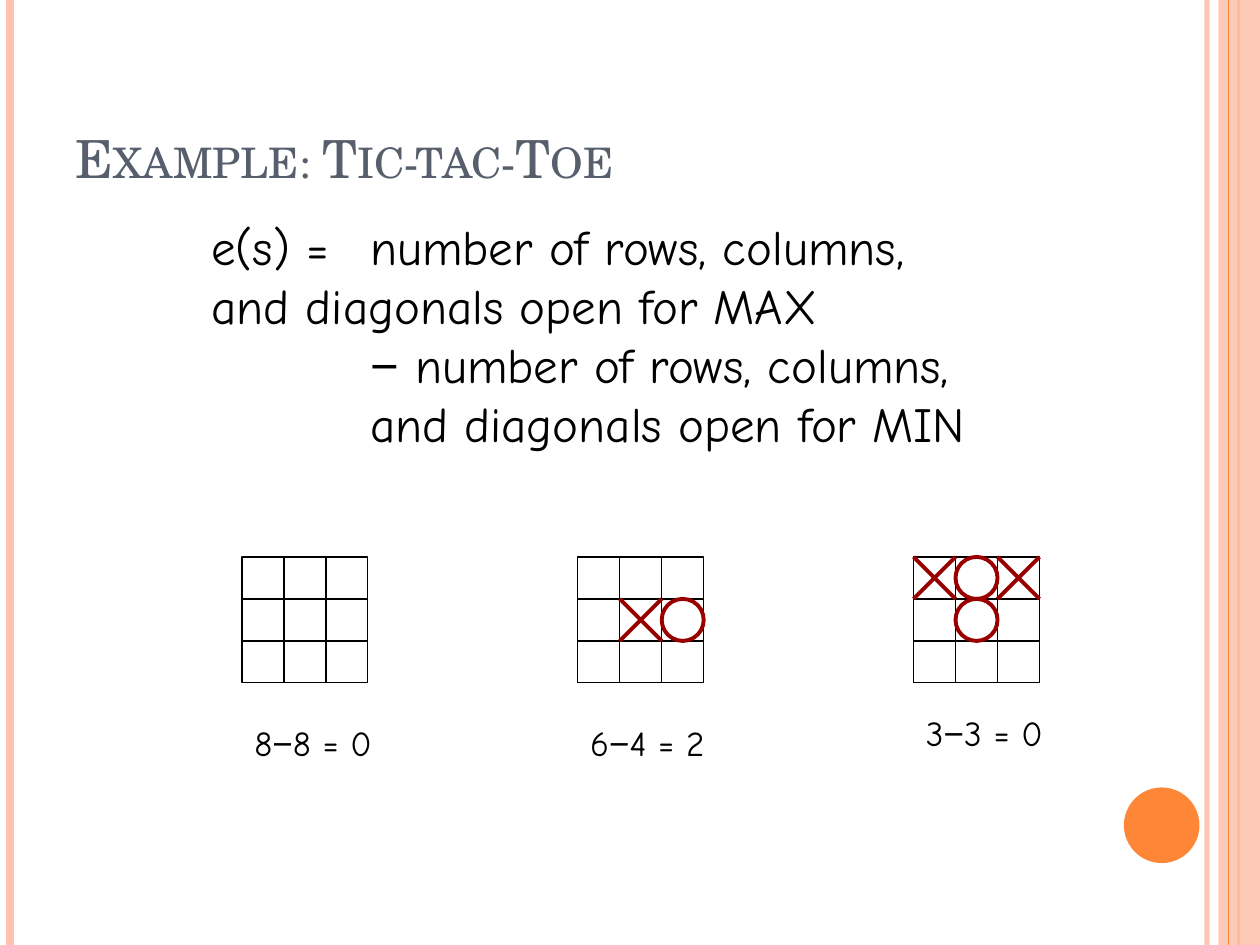
from lxml.etree import SubElement
from pptx import Presentation
from pptx.dml.color import RGBColor
from pptx.enum.shapes import MSO_CONNECTOR, MSO_SHAPE
from pptx.enum.text import MSO_ANCHOR
from pptx.oxml import parse_xml
from pptx.oxml.ns import qn
from pptx.util import Inches, Pt

COLORS = {"peach": "FEC3AE", "orange": "FE8637", "title": "575F6D",
          "ink": "000000", "mark": "990000"}
TITLE_FONT, BODY_FONT, MINUS_FONT = "TeX Gyre Schola", "Comic Neue", "Arial"

TITLE = "Example: Tic-tac-Toe"
# Each paragraph: its left margin and its lines
TERM_INDENT = 1.26
FORMULA = [
    (0, ["e(s) =\tnumber of rows, columns,", "and diagonals open for MAX"]),
    (TERM_INDENT, ["− number of rows, columns,", "and diagonals open for MIN"]),
]
# Each board: its rows, its score and the top of the score
BOARDS = [
    (["   ", "   ", "   "], "8−8 = 0", 5.68),
    (["   ", " XO", "   "], "6−4 = 2", 5.68),
    (["XOX", " O ", "   "], "3−3 = 0", 5.6),
]
BOARD_LEFT, BOARD_TOP, BOARD_PITCH = 1.92, 4.42, 2.665
BOARD_SIZE = 1
CELL = BOARD_SIZE / 3

# Vertical rules: x, colour, width, opacity in percent
RULES_BELOW_BAND = [(9.58, "peach", 3, 93), (0.08, "peach", 4.5, 100),
                    (9.83, "orange", 1.5, 100)]
RULES_ABOVE_BAND = [(9.75, "orange", 0.75, 100)]


def rgb(name):
    return RGBColor.from_string(COLORS[name])


def set_opacity(fill_parent, percent):
    color = fill_parent.find(".//" + qn("a:srgbClr"))
    SubElement(color, qn("a:alpha"), val=str(percent * 1000))


def add_line(x1, y1, x2, y2, color, width, opacity=100):
    line = slide.shapes.add_connector(
        MSO_CONNECTOR.STRAIGHT, Inches(x1), Inches(y1), Inches(x2), Inches(y2))
    line.line.color.rgb = rgb(color)
    line.line.width = Pt(width)
    properties = line._element.spPr
    if opacity < 100:
        set_opacity(properties, opacity)
    SubElement(properties, qn("a:effectLst"))


def add_shape(kind, x, y, w, h, fill=None, outline=None, width=0.75):
    shape = slide.shapes.add_shape(kind, Inches(x), Inches(y), Inches(w), Inches(h))
    shape.shadow.inherit = False
    if fill:
        shape.fill.solid()
        shape.fill.fore_color.rgb = rgb(fill)
    else:
        shape.fill.background()
    if outline:
        shape.line.color.rgb = rgb(outline)
        shape.line.width = Pt(width)
    else:
        shape.line.fill.background()
    return shape


def add_frame(x, y, w, h, wrap=True):
    frame = slide.shapes.add_textbox(
        Inches(x), Inches(y), Inches(w), Inches(h)).text_frame
    frame.word_wrap = wrap
    return frame


def style(paragraph, size, font, color):
    paragraph.font.size = Pt(size)
    paragraph.font.name = font
    paragraph.font.color.rgb = rgb(color)


def write_lines(paragraph, lines, size):
    """Write lines in the body font, with each minus sign in its own font."""
    style(paragraph, size, BODY_FONT, "ink")
    for number, line in enumerate(lines):
        if number:
            paragraph.add_line_break()
        before, minus, after = line.partition("−")
        for text in filter(None, (before, minus, after)):
            run = paragraph.add_run()
            run.text = text
            if text == minus:
                run.font.name = MINUS_FONT


def add_rules(rules):
    for x, color, width, opacity in rules:
        add_line(x, 0, x, 7.5, color, width, opacity)


def add_mark(mark, x, y):
    if mark == "O":
        add_shape(MSO_SHAPE.OVAL, x, y, CELL, CELL, outline="mark", width=2.25)
    elif mark == "X":
        add_line(x, y, x + CELL, y + CELL, "mark", 2.25)
        add_line(x, y + CELL, x + CELL, y, "mark", 2.25)


def add_board(left, rows):
    top, right, bottom = BOARD_TOP, left + BOARD_SIZE, BOARD_TOP + BOARD_SIZE
    add_shape(MSO_SHAPE.RECTANGLE, left, top, BOARD_SIZE, BOARD_SIZE, outline="ink")
    for step in (CELL, 2 * CELL):
        add_line(left + step, top, left + step, bottom, "ink", 0.75)
        add_line(left, top + step, right, top + step, "ink", 0.75)
    for r, row in enumerate(rows):
        for c, mark in enumerate(row):
            add_mark(mark, left + c * CELL, top + r * CELL)


prs = Presentation()
prs.slide_width, prs.slide_height = Inches(10), Inches(7.5)
slide = prs.slides.add_slide(prs.slide_layouts[6])

add_rules(RULES_BELOW_BAND)
band = add_shape(MSO_SHAPE.RECTANGLE, 9.67, 0, 0.33, 7.5, fill="peach")
set_opacity(band._element.spPr, 87)
add_rules(RULES_ABOVE_BAND)
add_shape(MSO_SHAPE.OVAL, 8.92, 6.25, 0.6, 0.6, fill="orange")

title = add_frame(0.5, 0.3, 8.17, 1.25)
title.vertical_anchor = MSO_ANCHOR.BOTTOM
heading = title.paragraphs[0]
style(heading, 30, TITLE_FONT, "title")
heading_run = heading.add_run()
heading_run.text = TITLE
heading_run._r.get_or_add_rPr().set("cap", "small")

formula = add_frame(1.58, 1.67, 6.67, 1.97)
for number, (margin, lines) in enumerate(FORMULA):
    term = formula.add_paragraph() if number else formula.paragraphs[0]
    write_lines(term, lines, 28)
    layout = term._p.get_or_add_pPr()
    layout.set("marL", str(Inches(margin)))
    layout.insert(0, parse_xml(
        '<a:tabLst xmlns:a="http://schemas.openxmlformats.org/drawingml/2006/main">'
        f'<a:tab pos="{Inches(TERM_INDENT)}" algn="l"/></a:tabLst>'))

for number, (rows, score, score_top) in enumerate(BOARDS):
    left = BOARD_LEFT + number * BOARD_PITCH
    add_board(left, rows)
    score_frame = add_frame(left, score_top, 1.17, 0.43, wrap=False)
    write_lines(score_frame.paragraphs[0], [score], 20)

prs.save("out.pptx")
